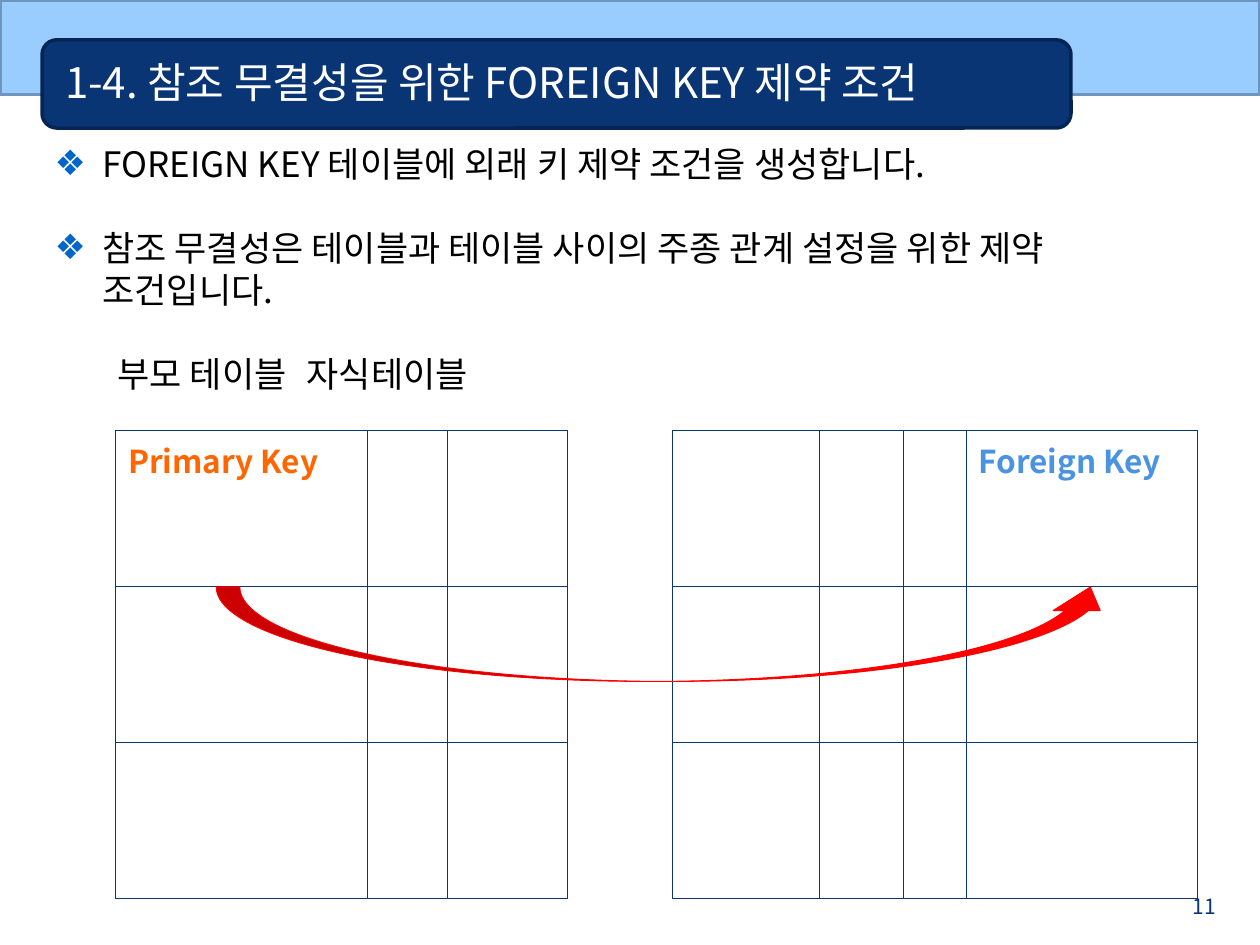
from lxml.etree import SubElement
from pptx import Presentation
from pptx.dml.color import RGBColor
from pptx.enum.shapes import MSO_SHAPE as Shape
from pptx.enum.text import MSO_ANCHOR as Anchor, MSO_AUTO_SIZE as AutoSize, PP_ALIGN as Align
from pptx.oxml import parse_xml
from pptx.oxml.ns import nsdecls, qn
from pptx.util import Inches, Pt

COLORS = {
    "band": "99CCFF", "band_edge": "6F95BC", "navy": "093575", "navy_edge": "052454",
    "white": "FFFFFF", "black": "000000", "bullet": "0066CC",
    "primary": "FF6600", "foreign": "4B92E1", "red": "FF0000",
}
FONT = "Noto Sans CJK KR"
COLUMNS, ROWS = 120, 90


class KeySlide:
    """Draws styled elements on one slide laid out on a 120 by 90 grid."""

    def __init__(self, deck):
        self.deck = deck
        self.page = deck.slides.add_slide(deck.slide_layouts[1])

    def area(self, left, top, width, height):
        across, down = self.deck.slide_width / COLUMNS, self.deck.slide_height / ROWS
        return [int(n * unit) for n, unit in
                zip((left, top, width, height), (across, down, across, down))]

    def color(self, name):
        return RGBColor.from_string(COLORS[name])

    def style(self, para, size, color, bold=False):
        para.font.name, para.font.size, para.font.bold = FONT, Pt(size), bold
        para.font.color.rgb = self.color(color)
        defaults = para._p.get_or_add_pPr().find(qn("a:defRPr"))
        SubElement(defaults, qn("a:ea")).set("typeface", FONT)

    def shape(self, kind, area, fill, edge, weight):
        shape = self.page.shapes.add_shape(kind, *self.area(*area))
        shape.shadow.inherit = False
        shape.fill.solid()
        shape.fill.fore_color.rgb = self.color(fill)
        shape.line.color.rgb = self.color(edge)
        shape.line.width = Pt(weight)

    def place(self, holder, area, anchor):
        holder.left, holder.top, holder.width, holder.height = self.area(*area)
        self.page.shapes.element.append(holder.element)
        frame = holder.text_frame
        frame.auto_size, frame.word_wrap = AutoSize.NONE, True
        frame.vertical_anchor = anchor
        return frame

    def title(self, text, area):
        frame = self.place(self.page.shapes.title, area, Anchor.MIDDLE)
        frame.text = text
        para = frame.paragraphs[0]
        para.alignment = Align.LEFT
        self.style(para, 24, "white")

    def body(self, items, labels, stops, area):
        frame = self.place(self.page.placeholders[1], area, Anchor.TOP)
        frame.text = "\n".join([*items, "".join("\t" + label for label in labels)])
        for index, para in enumerate(frame.paragraphs):
            para.space_before = Pt(24 if index else 0)
            para.line_spacing = Pt(24)
            props = para._p.get_or_add_pPr()
            if index < len(items):
                self.bullet(props)
            else:
                self.tabs(props, stops)
            self.style(para, 20, "black")

    def bullet(self, props):
        props.set("marL", str(Inches(0.38)))
        props.set("indent", str(Inches(-0.38)))
        tint = SubElement(props, qn("a:buClr"))
        SubElement(tint, qn("a:srgbClr")).set("val", COLORS["bullet"])
        SubElement(props, qn("a:buChar")).set("char", "❖")

    def tabs(self, props, stops):
        props.set("marL", "0")
        props.set("indent", "0")
        SubElement(props, qn("a:buNone"))
        tab_list = SubElement(props, qn("a:tabLst"))
        for stop in stops:
            tab = SubElement(tab_list, qn("a:tab"))
            tab.set("pos", str(Inches(stop)))
            tab.set("algn", "l")

    def table(self, left, top, widths, row_height, key, key_column, key_color, rows=3):
        area = self.area(left, top, sum(widths), rows * row_height)
        table = self.page.shapes.add_table(rows, len(widths), *area).table
        table.first_row = table.horz_banding = False
        for column, width in zip(table.columns, widths):
            column.width = self.area(0, 0, width, 0)[2]
        for cell in table.iter_cells():
            cell.fill.solid()
            cell.fill.fore_color.rgb = self.color("white")
            self.borders(cell)
        header = table.cell(0, key_column)
        header.text = key
        self.style(header.text_frame.paragraphs[0], 18, key_color, bold=True)

    def borders(self, cell):
        props = cell._tc.get_or_add_tcPr()
        for index, side in enumerate("LRTB"):
            props.insert(index, parse_xml(
                f'<a:ln{side} {nsdecls("a")} w="{Pt(0.45)}"><a:solidFill>'
                f'<a:srgbClr val="{COLORS["navy"]}"/></a:solidFill></a:ln{side}>'))

    def number(self, text, area):
        box = self.page.shapes.add_textbox(*self.area(*area))
        box.text_frame.word_wrap = True
        box.text_frame.text = text
        para = box.text_frame.paragraphs[0]
        para.alignment = Align.RIGHT
        self.style(para, 12, "navy")


def main():
    deck = Presentation()
    deck.slide_width, deck.slide_height = Inches(10), Inches(7.5)
    slide = KeySlide(deck)
    slide.shape(Shape.RECTANGLE, (0, 0, COLUMNS, 9), "band", "band_edge", 2)
    slide.shape(Shape.ROUNDED_RECTANGLE, (4, 3.8, 98, 8.4), "navy", "navy_edge", 2)
    slide.number("11", (111, 84.5, 6, 2.5))
    slide.title("1-4. 참조 무결성을 위한 FOREIGN KEY 제약 조건", (5, 4, 99, 7.5))
    slide.body(
        ["FOREIGN KEY 테이블에 외래 키 제약 조건을 생성합니다.",
         "참조 무결성은 테이블과 테이블 사이의 주종 관계 설정을 위한 제약 조건입니다."],
        ["부모 테이블", "자식테이블"], [0.39, 5.09], (4, 13, 108, 73.7))
    slide.table(11, 41, [24, 7.6, 11.4], 14.86, "Primary Key", 0, "primary")
    slide.table(64, 41, [14, 8, 6, 22], 14.86, "Foreign Key", 3, "foreign")
    slide.shape(Shape.CURVED_UP_ARROW, (20.6, 55.9, 85.5, 9), "red", "red", 0.5)
    deck.save("out.pptx")


if __name__ == "__main__":
    main()
